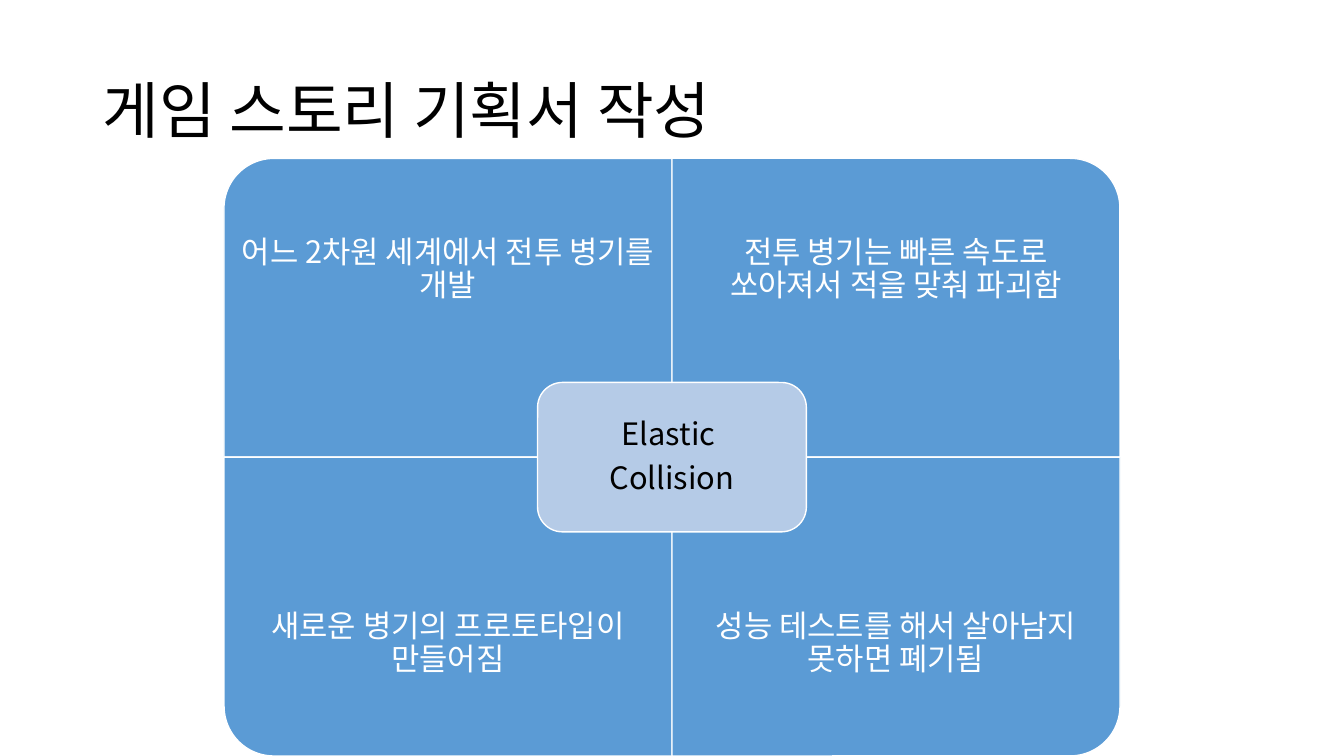
from lxml import etree
from pptx import Presentation
from pptx.dml.color import RGBColor
from pptx.enum.shapes import MSO_SHAPE
from pptx.enum.text import MSO_ANCHOR, PP_ALIGN
from pptx.oxml.ns import qn
from pptx.util import Cm, Pt

CORNER_CARD = MSO_SHAPE.ROUND_1_RECTANGLE
CENTRE_CARD = MSO_SHAPE.ROUNDED_RECTANGLE
MIDDLE = MSO_ANCHOR.MIDDLE
LEFT, CENTER = PP_ALIGN.LEFT, PP_ALIGN.CENTER

# Content
TITLE = "게임 스토리 기획서 작성"
CORE = ["Elastic ", "Collision"]
# Column, row, rotation of the rounded corner, story step
QUADRANTS = [
    (0, 0, 270, "어느 2차원 세계에서 전투 병기를 개발"),
    (1, 0, 0, "전투 병기는 빠른 속도로 쏘아져서 적을 맞춰 파괴함"),
    (0, 1, 180, "새로운 병기의 프로토타입이 만들어짐"),
    (1, 1, 90, "성능 테스트를 해서 살아남지 못하면 폐기됨"),
]

# Style
FONT = "Noto Sans CJK KR"
COLORS = {"quadrant": "5B9BD5", "core": "B5CBE7", "light": "FFFFFF", "dark": "000000"}

# Layout in centimetres
SLIDE_W, SLIDE_H = 33.87, 19.05
QUAD_W, QUAD_H = 11.29, 7.53
MID_X, MID_Y = SLIDE_W / 2, SLIDE_H - QUAD_H
STEP_H = QUAD_H * 0.75
CORE_W, CORE_H = QUAD_W * 0.6, QUAD_H * 0.5
CORE_PAD = 0.18


def rgb(name):
    return RGBColor.from_string(COLORS[name])


def write(frame, lines, size=22, color="light", align=CENTER, inset=0.43, after=7.7):
    frame.word_wrap = True
    frame.vertical_anchor = MIDDLE
    frame.margin_left = frame.margin_right = Cm(inset)
    frame.margin_top = frame.margin_bottom = Cm(inset)
    for number, line in enumerate(lines):
        paragraph = frame.add_paragraph() if number else frame.paragraphs[0]
        paragraph.alignment = align
        paragraph.line_spacing = 0.9
        paragraph.space_before, paragraph.space_after = Pt(0), Pt(after)
        run = paragraph.add_run()
        run.text = line
        run.font.name = FONT
        run.font.size = Pt(size)
        run.font.color.rgb = rgb(color)
        east_asian = etree.SubElement(run.font._element, qn("a:ea"))
        east_asian.set("typeface", FONT)


def add_card(preset, centre_x, centre_y, width, height, fill, rotation=0):
    # A quarter turn swaps the sides of the unrotated frame
    if rotation % 180:
        width, height = height, width
    card = slide.shapes.add_shape(preset, Cm(centre_x - width / 2), Cm(centre_y - height / 2),
                                  Cm(width), Cm(height))
    card.rotation = rotation
    card.shadow.inherit = False
    card.fill.solid()
    card.fill.fore_color.rgb = rgb(fill)
    card.line.color.rgb = rgb("light")
    card.line.width = Pt(1)


def add_text(left, top, width, height, lines, **style):
    box = slide.shapes.add_textbox(Cm(left), Cm(top), Cm(width), Cm(height))
    write(box.text_frame, lines, **style)


deck = Presentation()
deck.slide_width, deck.slide_height = Cm(SLIDE_W), Cm(SLIDE_H)
slide = deck.slides.add_slide(deck.slide_layouts[5])

# Title
title = slide.shapes.title
title.left, title.top, title.width, title.height = Cm(2.33), Cm(1.01), Cm(29.21), Cm(3.68)
write(title.text_frame, [TITLE], size=44, color="dark", align=LEFT, inset=0.25, after=0)

# Four story steps, text kept towards the outer edge
for column, row, rotation, step in QUADRANTS:
    left = MID_X + (column - 1) * QUAD_W
    top = MID_Y + (row - 1) * QUAD_H
    add_card(CORNER_CARD, left + QUAD_W / 2, top + QUAD_H / 2, QUAD_W, QUAD_H,
             "quadrant", rotation)
    add_text(left, top + row * (QUAD_H - STEP_H), QUAD_W, STEP_H, [step])

# Core idea
add_card(CENTRE_CARD, MID_X, MID_Y, CORE_W, CORE_H, "core")
add_text(MID_X - CORE_W / 2 + CORE_PAD, MID_Y - CORE_H / 2 + CORE_PAD,
         CORE_W - 2 * CORE_PAD, CORE_H - 2 * CORE_PAD, CORE, color="dark", inset=0.24)

deck.save("out.pptx")
